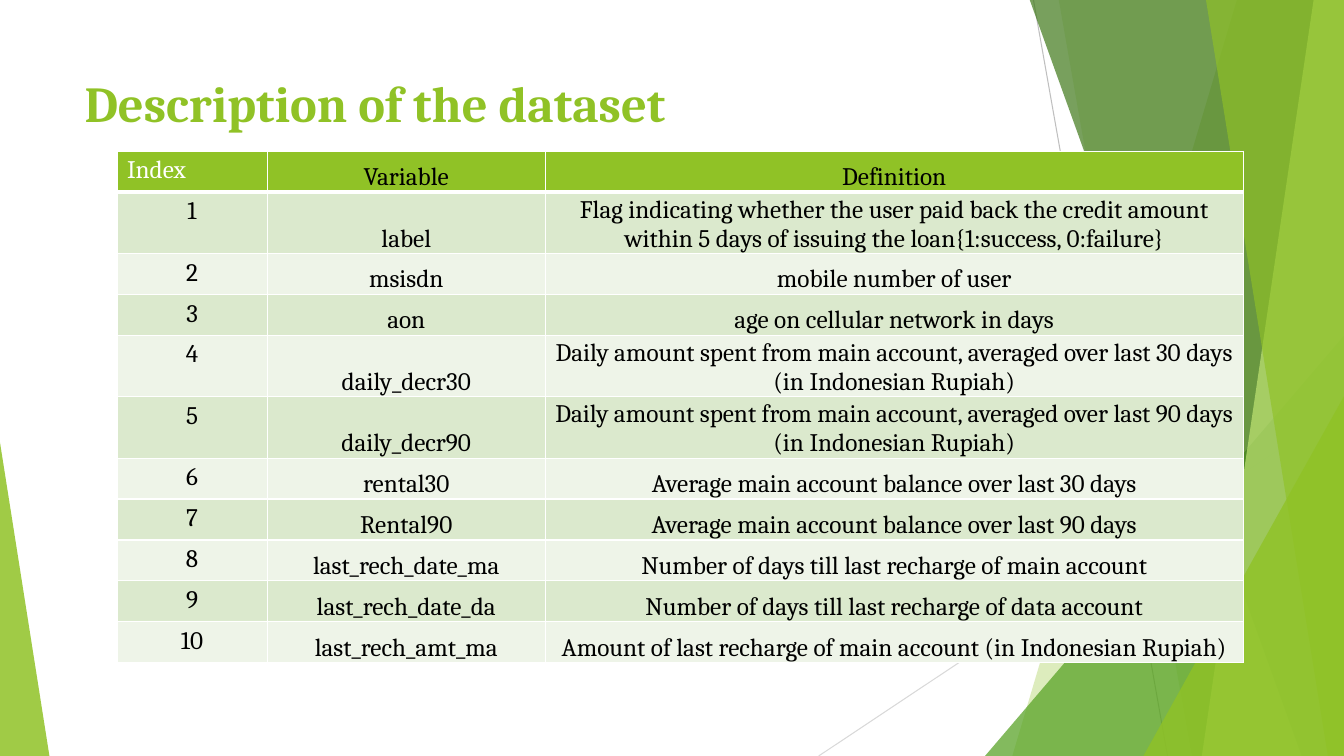
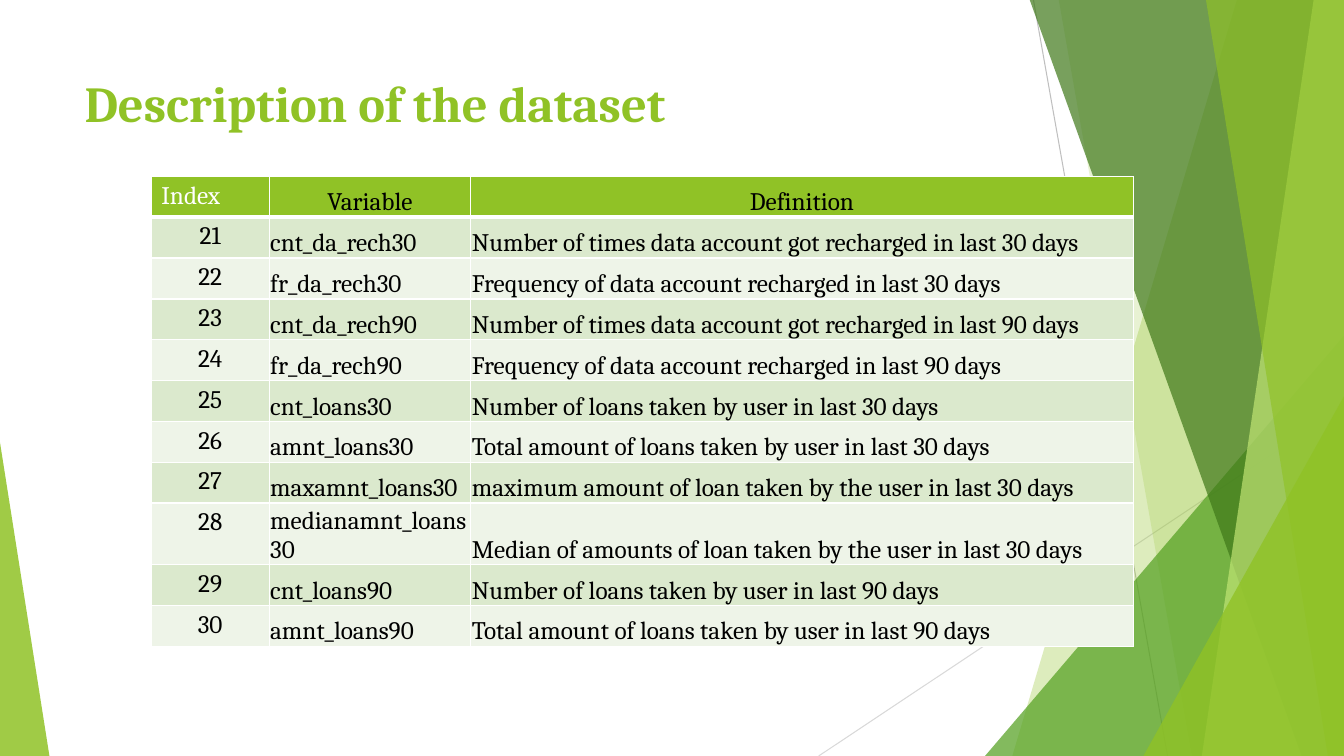
"""Build two slides that describe the variables of a loan dataset."""
from lxml import etree
from pptx import Presentation
from pptx.dml.color import RGBColor
from pptx.enum.shapes import MSO_CONNECTOR, MSO_SHAPE
from pptx.enum.text import MSO_ANCHOR, PP_ALIGN
from pptx.oxml.ns import qn
from pptx.util import Inches, Pt

STRAIGHT = MSO_CONNECTOR.STRAIGHT
TRIANGLE = MSO_SHAPE.ISOSCELES_TRIANGLE
LEFT, CENTER = PP_ALIGN.LEFT, PP_ALIGN.CENTER
TOP, BOTTOM = MSO_ANCHOR.TOP, MSO_ANCHOR.BOTTOM

COLORS = {
    "lime": "90C226",
    "green": "54A021",
    "forest": "3F7819",
    "pale_lime": "C0E474",
    "band_dark": "DBE9CD",
    "band_light": "EEF4E8",
    "line_dark": "BFBFBF",
    "line_light": "D9D9D9",
    "white": "FFFFFF",
    "black": "000000",
}
FONT = "Cambria"
WIDTH, HEIGHT = 13.33, 7.5
TABLE_HEIGHT = 4.46
HEADER = ("Index", "Variable", "Definition")

LINES = [
    ((10.25, 0), (11.58, HEIGHT), "line_dark"),
    ((WIDTH, 4.03), (8.12, HEIGHT), "line_light"),
]
# Bands run from a top x to a bottom x and reach the right edge of the slide.
FACETS = [
    ("band", (12.27, 10.04), "lime", 30),
    ("band", (10.5, 11.82), "lime", 20),
    ("triangle", (9.77, 3.33, 3.56, 1), "green", 72),
    ("band", (10.21, 12.91), "forest", 70),
    ("band", (13.03, 11.92), "pale_lime", 70),
    ("band", (11.96, 13.17), "lime", 65),
    ("triangle", (11.34, 3.93, 1.99, 1), "lime", 80),
    ("triangle", (0, 4.39, 0.49, 0), "lime", 85),
]

ACCOUNT_ROWS = [
    ("label", "Flag indicating whether the user paid back the credit amount "
              "within 5 days of issuing the loan{1:success, 0:failure}"),
    ("msisdn", "mobile number of user"),
    ("aon", "age on cellular network in days"),
    ("daily_decr30", "Daily amount spent from main account, averaged over "
                     "last 30 days (in Indonesian Rupiah)"),
    ("daily_decr90", "Daily amount spent from main account, averaged over "
                     "last 90 days (in Indonesian Rupiah)"),
    ("rental30", "Average main account balance over last 30 days"),
    ("Rental90", "Average main account balance over last 90 days"),
    ("last_rech_date_ma", "Number of days till last recharge of main account"),
    ("last_rech_date_da", "Number of days till last recharge of data account"),
    ("last_rech_amt_ma", "Amount of last recharge of main account (in Indonesian Rupiah)"),
]
LOAN_ROWS = [
    ("cnt_da_rech30", "Number of times data account got recharged in last 30 days"),
    ("fr_da_rech30", "Frequency of data account recharged in last 30 days"),
    ("cnt_da_rech90", "Number of times data account got recharged in last 90 days"),
    ("fr_da_rech90", "Frequency of data account recharged in last 90 days"),
    ("cnt_loans30", "Number of loans taken by user in last 30 days"),
    ("amnt_loans30", "Total amount of loans taken by user in last 30 days"),
    ("maxamnt_loans30", "maximum amount of loan taken by the user in last 30 days"),
    ("medianamnt_loans30", "Median of amounts of loan taken by the user in last 30 days"),
    ("cnt_loans90", "Number of loans taken by user in last 90 days"),
    ("amnt_loans90", "Total amount of loans taken by user in last 90 days"),
]


def rgb(name):
    return RGBColor.from_string(COLORS[name])


def add_line(slide, start, end, color):
    ends = [Inches(value) for value in (*start, *end)]
    connector = slide.shapes.add_connector(STRAIGHT, *ends)
    connector.line.color.rgb = rgb(color)
    connector.line.width = Pt(0.75)
    etree.SubElement(connector._element.spPr, qn("a:effectLst"))


def add_band(slide, top_x, bottom_x):
    points = [(top_x, -0.01), (WIDTH, -0.01), (WIDTH, HEIGHT), (bottom_x, HEIGHT)]
    corners = [(Inches(x), Inches(y)) for x, y in points]
    builder = slide.shapes.build_freeform(*corners[0])
    builder.add_line_segments(corners[1:], close=True)
    return builder.convert_to_shape()


def add_triangle(slide, left, top, width, apex):
    box = [Inches(value) for value in (left, top, width, HEIGHT - top)]
    shape = slide.shapes.add_shape(TRIANGLE, *box)
    shape.adjustments[0] = apex
    return shape


def paint_facet(shape, color, opacity):
    shape.shadow.inherit = False
    shape.line.fill.background()
    shape.fill.solid()
    shape.fill.fore_color.rgb = rgb(color)
    color_element = shape._element.spPr.find(qn("a:solidFill"))[0]
    etree.SubElement(color_element, qn("a:alpha"), val=str(opacity * 1000))


def add_backdrop(slide):
    for start, end, color in LINES:
        add_line(slide, start, end, color)
    builders = {"band": add_band, "triangle": add_triangle}
    for kind, geometry, color, opacity in FACETS:
        paint_facet(builders[kind](slide, *geometry), color, opacity)


def format_text(paragraph, size, color, bold=False, alignment=LEFT):
    paragraph.alignment = alignment
    for run in paragraph.runs:
        run.font.name = FONT
        run.font.size = Pt(size)
        run.font.bold = bold
        run.font.color.rgb = rgb(color)


def add_title(slide, text):
    box = slide.shapes.add_textbox(Inches(0.74), Inches(0.67), Inches(9.4), Inches(1.44))
    text_frame = box.text_frame
    text_frame.word_wrap = True
    text_frame.vertical_anchor = TOP
    text_frame.text = text
    format_text(text_frame.paragraphs[0], 36, "lime", bold=True)


def set_borders(cell, top, bottom):
    properties = cell._tc.get_or_add_tcPr()
    for tag, width in (("lnL", 1), ("lnR", 1), ("lnT", top), ("lnB", bottom)):
        line = etree.SubElement(properties, qn(f"a:{tag}"), w=str(Pt(width)))
        fill = etree.SubElement(line, qn("a:solidFill"))
        etree.SubElement(fill, qn("a:srgbClr"), val=COLORS["white"])


def fill_cell(cell, text, row, column, body_alignment):
    is_header, is_index = row == 0, column == 0
    set_borders(cell, top=3 if row == 1 else 1, bottom=3 if is_header else 1)
    cell.fill.solid()
    band = "band_dark" if row % 2 else "band_light"
    cell.fill.fore_color.rgb = rgb("lime" if is_header else band)
    if not is_index:
        cell.vertical_anchor = BOTTOM
        cell.margin_left = cell.margin_right = cell.margin_top = Inches(0.01)
        cell.margin_bottom = 0
    if is_header:
        alignment = LEFT if is_index else CENTER
    else:
        alignment = CENTER if is_index else body_alignment
    cell.text_frame.text = text
    color = "white" if is_header and is_index else "black"
    format_text(cell.text_frame.paragraphs[0], 18, color, alignment=alignment)


def add_variable_table(slide, left, top, widths, first_index, variables, alignment):
    rows = [HEADER]
    rows += [(str(index), *pair) for index, pair in enumerate(variables, first_index)]
    frame = slide.shapes.add_table(len(rows), len(HEADER), Inches(left), Inches(top),
                                   Inches(sum(widths)), Inches(TABLE_HEIGHT))
    table = frame.table
    for column, width in zip(table.columns, widths):
        column.width = Inches(width)
    for row, texts in enumerate(rows):
        for column, text in enumerate(texts):
            fill_cell(table.cell(row, column), text, row, column, alignment)


def add_dataset_slide(presentation, **table_options):
    slide = presentation.slides.add_slide(presentation.slide_layouts[6])
    add_backdrop(slide)
    add_title(slide, "Description of the dataset")
    add_variable_table(slide, **table_options)


def main():
    presentation = Presentation()
    presentation.slide_width = Inches(WIDTH)
    presentation.slide_height = Inches(HEIGHT)
    add_dataset_slide(presentation, left=1.16, top=1.5, widths=(1.49, 2.76, 6.92),
                      first_index=1, variables=ACCOUNT_ROWS, alignment=CENTER)
    add_dataset_slide(presentation, left=1.5, top=1.75, widths=(1.17, 2, 6.57),
                      first_index=21, variables=LOAN_ROWS, alignment=LEFT)
    presentation.save("out.pptx")


if __name__ == "__main__":
    main()
